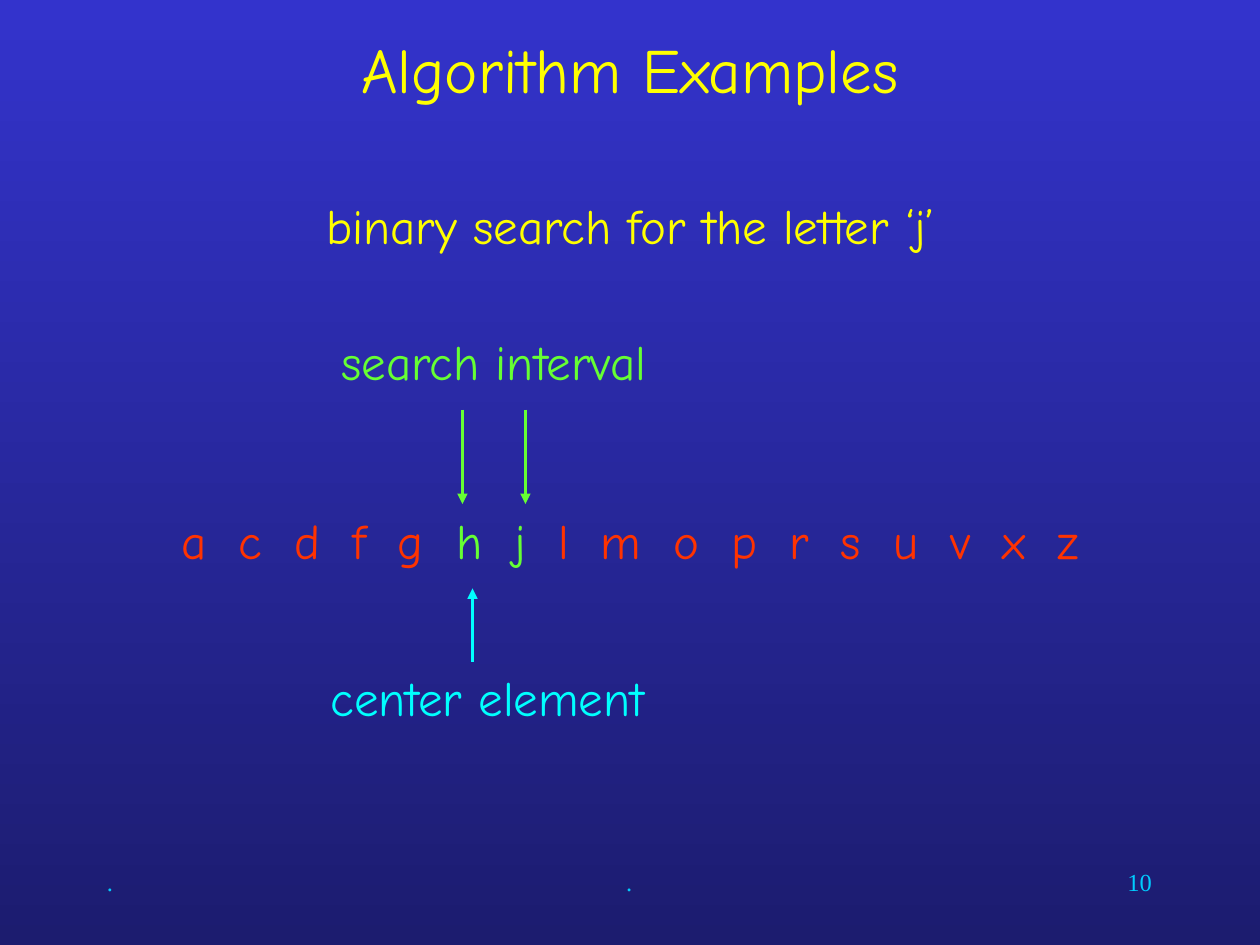
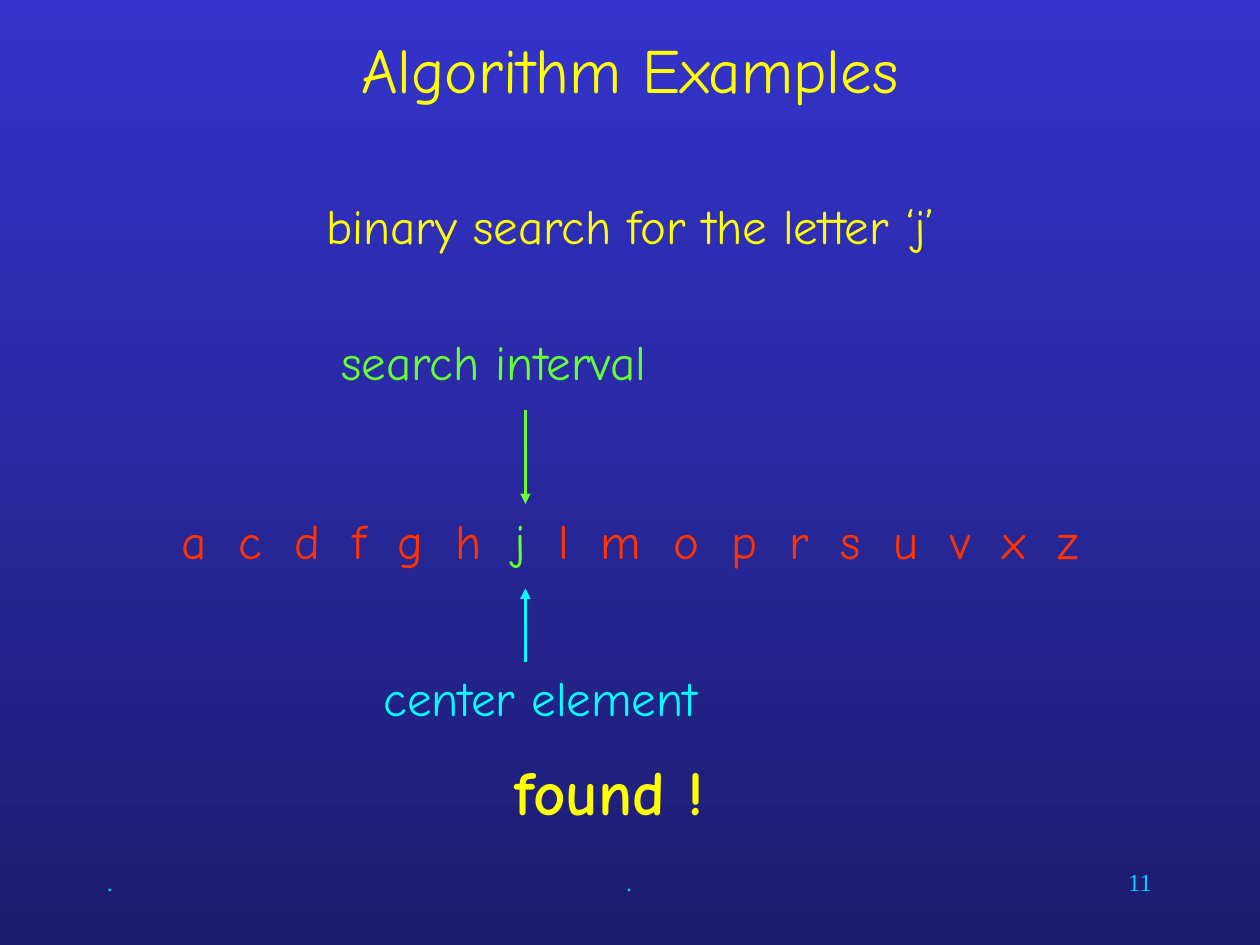
from itertools import groupby

from lxml import etree
from pptx import Presentation
from pptx.dml.color import RGBColor
from pptx.enum.shapes import MSO_CONNECTOR as CONN
from pptx.enum.text import MSO_ANCHOR as ANCHOR, PP_ALIGN as AL
from pptx.oxml.ns import qn
from pptx.util import Inches, Pt

TITLE = "Algorithm Examples"
TASK = "binary search for the letter ‘j’"
LETTERS = "acdfghjlmoprsuvxz"
STEPS = [
    {"number": "10", "interval": "hj", "bounds": [3.67, 4.17], "center": 3.75},
    {"number": "11", "interval": "j", "bounds": [4.17], "center": 4.17,
     "result": "found !"},
]

BG_TOP = RGBColor(0x33, 0x33, 0xCC)
BG_BOTTOM = RGBColor(0x1C, 0x1C, 0x6F)
YELLOW = RGBColor(0xFF, 0xFF, 0x00)
RED = RGBColor(0xFF, 0x33, 0x00)
GREEN = RGBColor(0x66, 0xFF, 0x33)
CYAN = RGBColor(0x00, 0xFF, 0xFF)
FOOTER_BLUE = RGBColor(0x00, 0xCC, 0xFF)
BODY_FONT, FOOTER_FONT = "Comic Neue", "Times New Roman"

WIDTH, HEIGHT = 10, 7.5
MARGIN = 0.75
ROW_LEFT, ROW_WIDTH, ROW_HEIGHT = 0.92, 8.17, 0.57
TASK_Y, INTERVAL_Y, LETTERS_Y, CENTER_Y, RESULT_Y = 1.5, 2.58, 4, 5.25, 5.92
FOOTER_Y, FOOTER_WIDTHS = 6.83, (2.08, 4.33, 2.08)
LETTER_SPACING = 4.5


def style(r, color, size=28, font=BODY_FONT, bold=False):
    r.font.name, r.font.size, r.font.bold = font, Pt(size), bold
    r.font.color.rgb = color


def add_text(s, box, text, color, align=AL.CENTER, **look):
    tf = s.shapes.add_textbox(*map(Inches, box)).text_frame
    tf.word_wrap = True
    p = tf.paragraphs[0]
    p.text, p.alignment = text, align
    for r in p.runs:
        style(r, color, **look)
    return tf


def add_arrow(s, x, start, end, color):
    line = s.shapes.add_connector(CONN.STRAIGHT, *map(Inches, (x, start, x, end)))
    line.line.color.rgb, line.line.width = color, Pt(1.5)
    etree.SubElement(line.line._get_or_add_ln(), qn("a:tailEnd"), type="triangle")
    etree.SubElement(line._element.spPr, qn("a:effectLst"))


def add_letters(s, interval):
    """Write the spaced letter row, with the search interval in green."""
    tf = add_text(s, (ROW_LEFT, LETTERS_Y, ROW_WIDTH, ROW_HEIGHT), "", RED)
    groups = groupby(LETTERS, lambda letter: letter in interval)
    for i, (inside, letters) in enumerate(groups):
        r = tf.paragraphs[0].add_run()
        r.text = (" " if i else "") + " ".join(letters)
        style(r, GREEN if inside else RED)
        r._r.get_or_add_rPr().set("spc", str(int(LETTER_SPACING * 100)))


def add_frame(prs, number):
    """Add a slide with the shared background, title, task line and footers."""
    s = prs.slides.add_slide(prs.slide_layouts[6])
    fill = s.background.fill
    fill.gradient()
    fill.gradient_angle = 270
    for stop, color in zip(fill.gradient_stops, (BG_TOP, BG_BOTTOM)):
        stop.color.rgb = color

    x = MARGIN
    footers = zip(FOOTER_WIDTHS, (".", ".", number), (AL.LEFT, AL.CENTER, AL.RIGHT))
    for width, text, align in footers:
        add_text(s, (x, FOOTER_Y, width, 0.5), text, FOOTER_BLUE, align,
                 size=14, font=FOOTER_FONT)
        x += width

    title = add_text(s, (MARGIN, 0.17, WIDTH - 2 * MARGIN, 0.75), TITLE, YELLOW, size=36)
    title.vertical_anchor = ANCHOR.MIDDLE
    add_text(s, (ROW_LEFT, TASK_Y, ROW_WIDTH, ROW_HEIGHT), TASK, YELLOW)
    return s


def add_step(prs, step):
    s = add_frame(prs, step["number"])
    add_letters(s, step["interval"])
    add_text(s, (2.42, INTERVAL_Y, 3, ROW_HEIGHT), "search interval", GREEN)
    for x in step["bounds"]:
        add_arrow(s, x, 3.25, LETTERS_Y, GREEN)

    center = step["center"]
    add_text(s, (center - 1.42, CENTER_Y, 3.08, ROW_HEIGHT), "center element", CYAN)
    add_arrow(s, center, CENTER_Y, 4.67, CYAN)
    if "result" in step:
        add_text(s, (MARGIN, RESULT_Y, ROW_WIDTH, 0.7), step["result"], YELLOW,
                 size=36, bold=True)


def main():
    prs = Presentation()
    prs.slide_width, prs.slide_height = Inches(WIDTH), Inches(HEIGHT)
    for step in STEPS:
        add_step(prs, step)
    prs.save("out.pptx")


if __name__ == "__main__":
    main()
